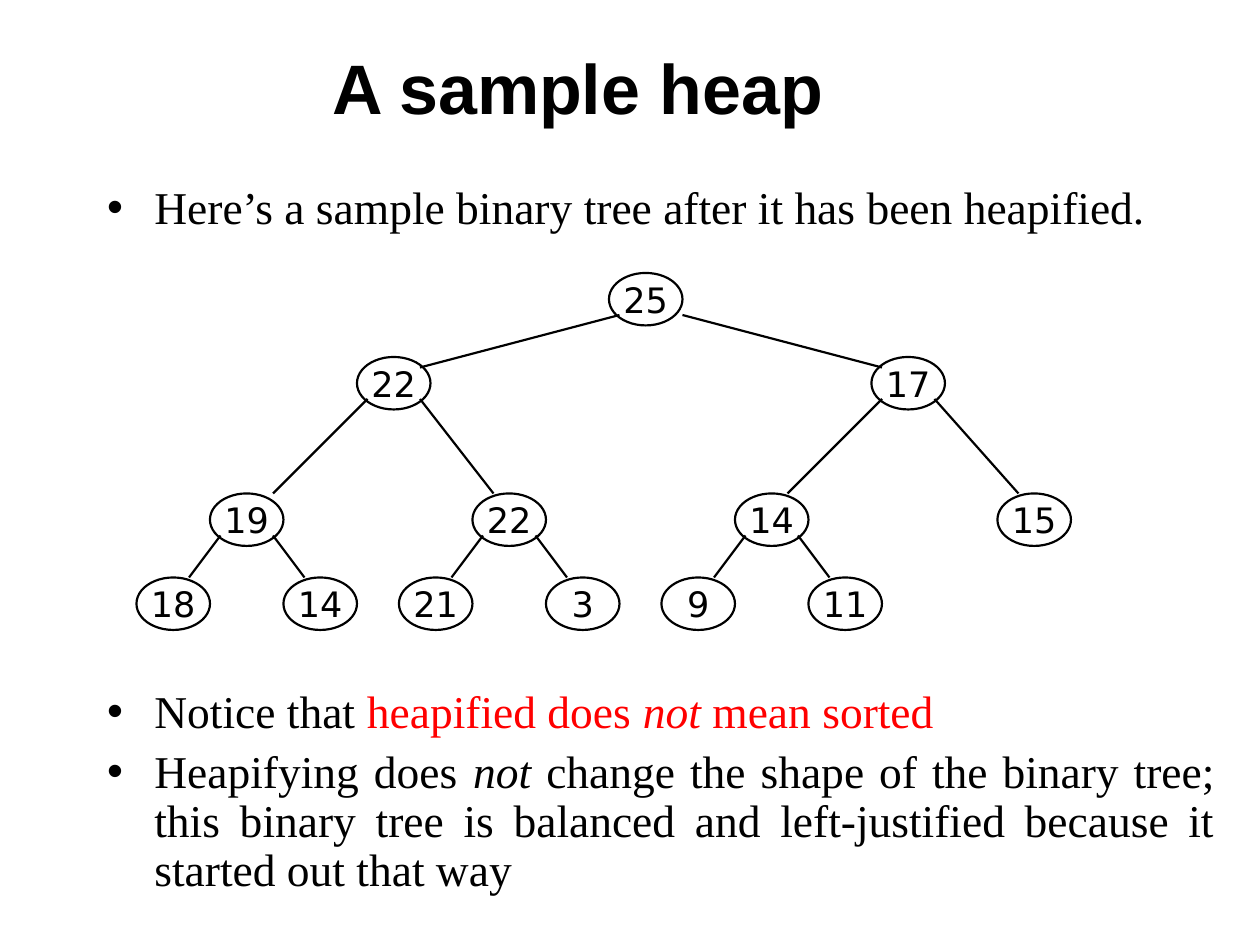
from lxml.etree import SubElement
from pptx import Presentation
from pptx.dml.color import RGBColor
from pptx.enum.shapes import MSO_CONNECTOR, MSO_SHAPE
from pptx.enum.text import MSO_ANCHOR, MSO_AUTO_SIZE, PP_ALIGN
from pptx.oxml.ns import qn
from pptx.util import Pt

BLACK, RED = "000000", "FF0000"
TITLE = "A sample heap"
TITLE_BOX = (36, 21.6, 588, 56)
LISTS = [
    ((54, 102, 612, 60), [
        [("Here’s a sample binary tree after it has been heapified.", BLACK, False)],
    ]),
    ((54, 390, 648, 132), [
        [("Notice that ", BLACK, False), ("heapified does ", RED, False),
         ("not", RED, True), (" mean sorted", RED, False)],
        [("Heapifying does ", BLACK, False), ("not", BLACK, True),
         (" change the shape of the binary tree; this binary tree is balanced and "
          "left-justified because it started out that way", BLACK, False)],
    ]),
]

HEAP = [25, 22, 17, 19, 22, 14, 15, 18, 14, 21, 3, 9, 11]
LEVEL_TOPS = [156, 204, 282, 330]
UPPER_LEFTS = [348, 204, 498]
THIRD_LEFT, THIRD_STEP = 120, 150
LEAF_SHIFT = 42
NODE_WIDTH, NODE_HEIGHT = 42, 30
ROOT_RIGHT_START = 42
FIRST_GRANDCHILD_END = 36


def color(value):
    return RGBColor.from_string(value)


def add_span(para, text, font, size, value=BLACK, bold=False, italic=False):
    span = para.add_run()
    span.text = text
    span.font.name, span.font.size = font, Pt(size)
    span.font.bold, span.font.italic = bold, italic
    span.font.color.rgb = color(value)


def place(shape, box):
    shape.left, shape.top, shape.width, shape.height = map(Pt, box)
    shape.text_frame.auto_size = MSO_AUTO_SIZE.NONE
    shape.text_frame.word_wrap = True


def fill_list(shape, box, items):
    place(shape, box)
    frame = shape.text_frame
    for number, spans in enumerate(items):
        para = frame.add_paragraph() if number else frame.paragraphs[0]
        para.alignment = PP_ALIGN.JUSTIFY
        para.line_spacing, para.space_before = 0.9, Pt(6.5)
        properties = para._p.get_or_add_pPr()
        properties.set("marL", str(Pt(27)))
        properties.set("indent", str(-Pt(27)))
        for text, value, italic in spans:
            add_span(para, text, "Times New Roman", 26, value, italic=italic)


def node_positions():
    lefts = UPPER_LEFTS + [THIRD_LEFT + THIRD_STEP * step for step in range(4)]
    for index in range(len(lefts), len(HEAP)):
        side = 1 if index % 2 == 0 else -1
        lefts.append(lefts[(index - 1) // 2] + side * LEAF_SHIFT)
    return [(left, LEVEL_TOPS[(index + 1).bit_length() - 1])
            for index, left in enumerate(lefts)]


def add_node(page, value, left, top):
    node = page.shapes.add_shape(
        MSO_SHAPE.OVAL, Pt(left), Pt(top), Pt(NODE_WIDTH), Pt(NODE_HEIGHT))
    node.shadow.inherit = False
    node.fill.background()
    node.line.color.rgb, node.line.width = color(BLACK), Pt(1.25)
    frame = node.text_frame
    frame.word_wrap, frame.vertical_anchor = False, MSO_ANCHOR.MIDDLE
    para = frame.paragraphs[0]
    para.alignment = PP_ALIGN.CENTER
    add_span(para, str(value), "DejaVu Sans", 20)


def add_edge(page, child, places):
    parent = (child - 1) // 2
    is_right = child % 2 == 0
    start, end = (36, 12) if is_right else (6, 30)
    drop = 0
    if parent == 0:
        end, drop = (6, 6) if is_right else (36, 6)
        start = ROOT_RIGHT_START if is_right else start
    elif child == 3:
        end = FIRST_GRANDCHILD_END
    (parent_left, parent_top), (child_left, child_top) = places[parent], places[child]
    edge = page.shapes.add_connector(
        MSO_CONNECTOR.STRAIGHT, Pt(parent_left + start), Pt(parent_top + 24),
        Pt(child_left + end), Pt(child_top + drop))
    edge.line.color.rgb, edge.line.width = color(BLACK), Pt(1.25)
    SubElement(edge._element.spPr, qn("a:effectLst"))


def main():
    deck = Presentation()
    deck.slide_width, deck.slide_height = Pt(720), Pt(540)
    page = deck.slides.add_slide(deck.slide_layouts.get_by_name("Two Content"))
    title, *bodies = list(page.placeholders)[:3]
    place(title, TITLE_BOX)
    title.text_frame.vertical_anchor = MSO_ANCHOR.MIDDLE
    heading = title.text_frame.paragraphs[0]
    heading.alignment = PP_ALIGN.CENTER
    add_span(heading, TITLE, "Arial", 40, bold=True)
    for body, (box, items) in zip(bodies, LISTS):
        fill_list(body, box, items)
    places = node_positions()
    for value, (left, top) in zip(HEAP, places):
        add_node(page, value, left, top)
    for child in range(1, len(HEAP)):
        add_edge(page, child, places)
    deck.save("out.pptx")


if __name__ == "__main__":
    main()
